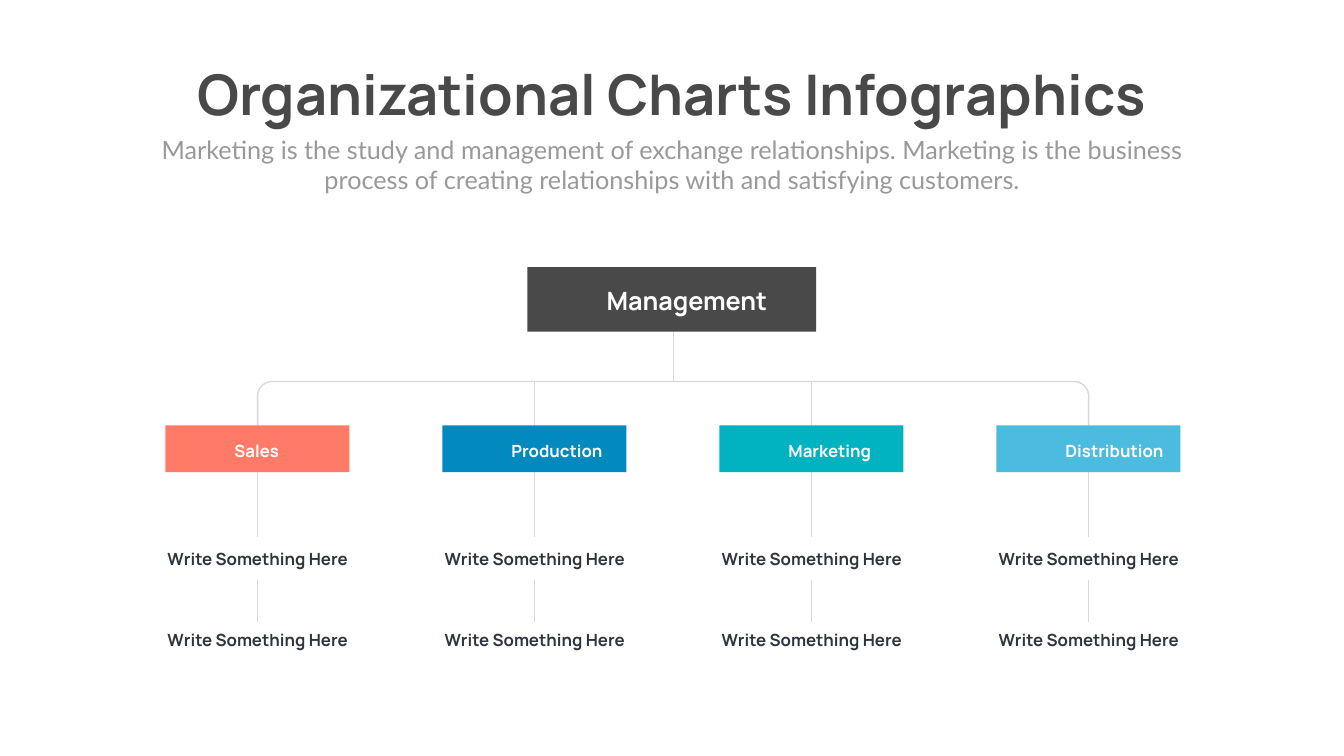
from dataclasses import dataclass
from math import cos, radians, sin

from lxml.etree import SubElement
from pptx import Presentation
from pptx.dml.color import RGBColor
from pptx.enum.shapes import MSO_CONNECTOR as Connector, MSO_SHAPE as Shape
from pptx.enum.text import MSO_AUTO_SIZE as AutoSize, PP_ALIGN as Align
from pptx.oxml.ns import qn
from pptx.util import Inches, Pt


@dataclass(frozen=True)
class Theme:
    heading_font: str = "Manrope"
    body_font: str = "Lato"
    dark: str = "494949"
    muted: str = "999999"
    ink: str = "2D363F"
    white: str = "FFFFFF"
    rule: str = "D9D9D9"
    title_size: int = 80
    large_size: int = 36
    label_size: int = 24
    rule_width: int = 2


class OrgChartSlide:
    def __init__(self, slide, theme):
        self.slide = slide
        self.theme = theme

    def style_line(self, line):
        line.color.rgb = RGBColor.from_string(self.theme.rule)
        line.width = Pt(self.theme.rule_width)

    def text(self, text, box, size, color, font=None, bold=True,
             align=Align.CENTER, wrap=True, inset=0.06):
        shape = self.slide.shapes.add_textbox(*map(Inches, box))
        frame = shape.text_frame
        frame.text = text
        frame.word_wrap = wrap
        frame.auto_size = AutoSize.SHAPE_TO_FIT_TEXT
        if inset is not None:
            frame.margin_left = frame.margin_right = Inches(inset)
            frame.margin_top = frame.margin_bottom = Inches(inset)
        paragraph = frame.paragraphs[0]
        paragraph.alignment = align
        run_font = paragraph.runs[0].font
        run_font.name = font or self.theme.heading_font
        run_font.size = Pt(size)
        run_font.bold = bold
        run_font.color.rgb = RGBColor.from_string(color)

    def box(self, box, color):
        shape = self.slide.shapes.add_shape(Shape.ROUNDED_RECTANGLE, *map(Inches, box))
        shape.adjustments[0] = 0
        shape.shadow.inherit = False
        shape.fill.solid()
        shape.fill.fore_color.rgb = RGBColor.from_string(color)
        shape.line.fill.background()

    def vertical_line(self, x, top, bottom):
        connector = self.slide.shapes.add_connector(
            Connector.STRAIGHT, Inches(x), Inches(top), Inches(x), Inches(bottom))
        self.style_line(connector.line)
        SubElement(connector._element.spPr, qn("a:effectLst"))

    def bracket(self, left, right, top, bottom, radius):
        points = [(left, bottom)]
        for center, start in ((left + radius, 180), (right - radius, 270)):
            for angle in range(start, start + 91, 10):
                points.append((center + radius * cos(radians(angle)),
                               top + radius + radius * sin(radians(angle))))
        points.append((right, bottom))
        (first, *rest) = [(Inches(x), Inches(y)) for x, y in points]
        builder = self.slide.shapes.build_freeform(*first)
        builder.add_line_segments(rest, close=False)
        shape = builder.convert_to_shape()
        shape.shadow.inherit = False
        shape.fill.background()
        self.style_line(shape.line)


def main():
    presentation = Presentation()
    presentation.slide_width = Inches(26.66)
    presentation.slide_height = Inches(15)
    theme = Theme()
    chart = OrgChartSlide(
        presentation.slides.add_slide(presentation.slide_layouts[6]), theme)

    chart.text("Organizational Charts Infographics", (3.02, 1.14, 20.62, 1.45),
               theme.title_size, theme.dark, wrap=False, inset=None)
    chart.text("Marketing is the study and management of exchange relationships. "
               "Marketing is the business process of creating relationships with "
               "and satisfying customers.", (2.92, 2.61, 20.82, 1.31),
               theme.large_size, theme.muted, font=theme.body_font, bold=False,
               inset=None)

    departments = [("Sales", "FF7A67"), ("Production", "0289BD"),
                   ("Marketing", "01B2C0"), ("Distribution", "4BBBDF")]
    first_center, pitch = 5.11, 5.495
    centers = [first_center + pitch * column for column in range(len(departments))]
    branch_top, card_top = 7.57, 8.44

    chart.vertical_line(13.36, 6.47, branch_top)
    chart.bracket(centers[0], centers[-1], branch_top, 8.48, 0.29)
    for center in centers[1:-1]:
        chart.vertical_line(center, branch_top, 8.65)

    chart.box((10.46, 5.3, 5.73, 1.28), theme.dark)
    chart.text("Management", (11.46, 5.6, 4.33, 0.72), theme.large_size, theme.white)

    for center, (name, color) in zip(centers, departments):
        chart.vertical_line(center, 9, 10.66)
        chart.vertical_line(center, 11.5, 12.34)
        chart.box((center - 1.83, card_top, 3.65, 0.93), color)
        chart.text(name, (center - 0.52, 8.68, 2.23, 0.52), theme.label_size,
                   theme.white, align=Align.LEFT)
        for top in (10.82, 12.43):
            chart.text("Write Something Here", (center - 2.17, top, 4.34, 0.52),
                       theme.label_size, theme.ink)

    presentation.save("out.pptx")


if __name__ == "__main__":
    main()
